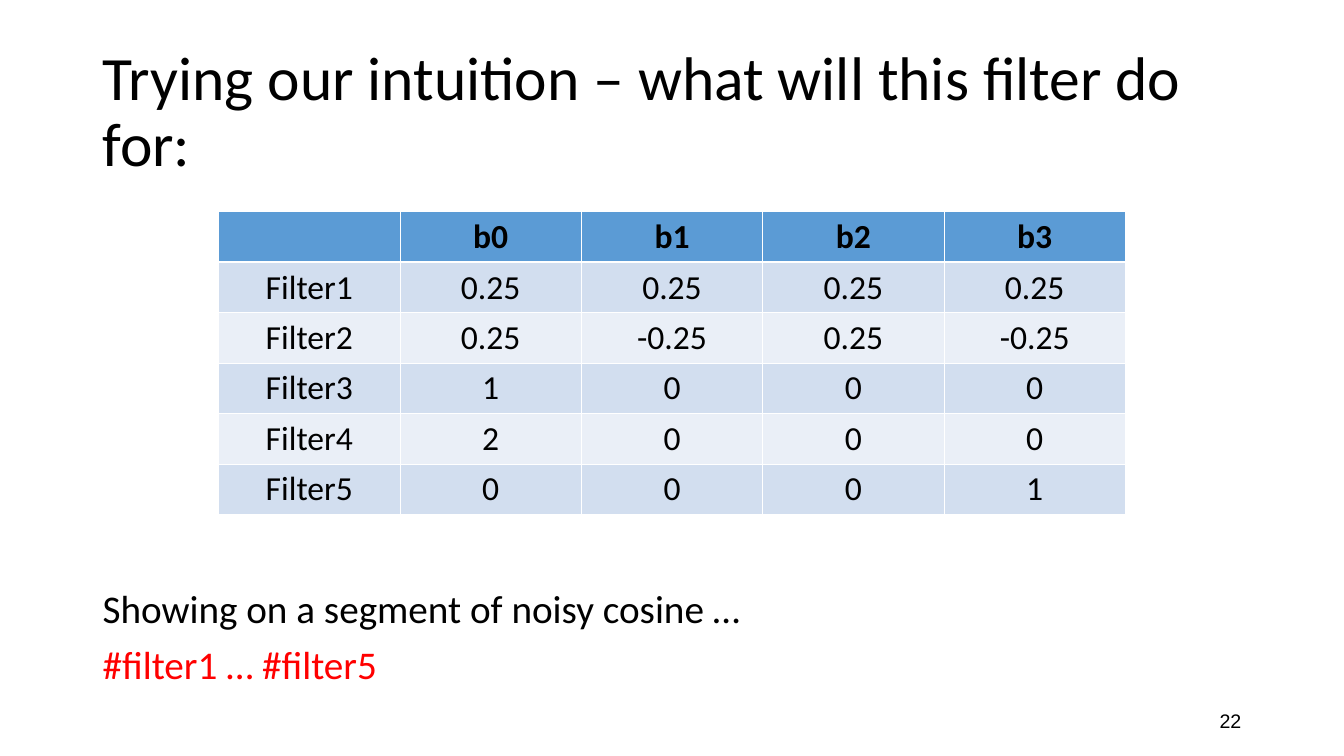
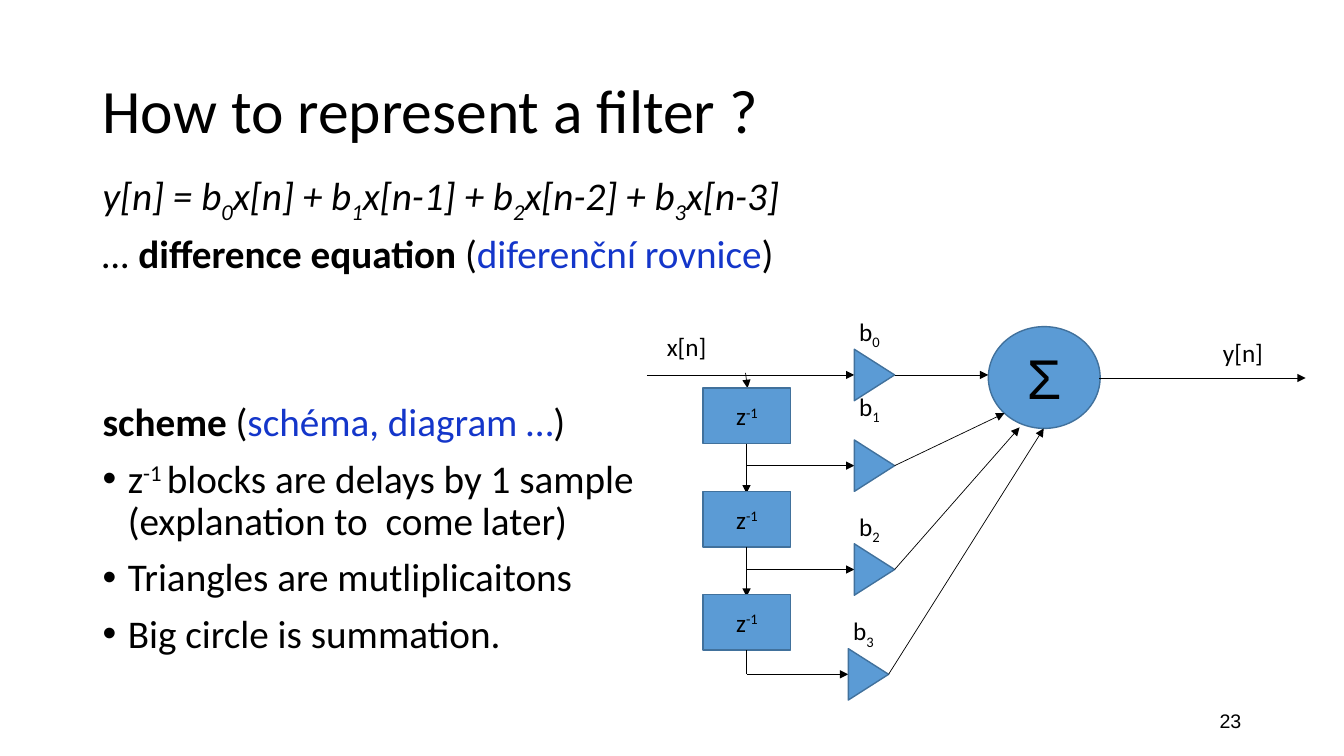
from lxml.etree import SubElement
from pptx import Presentation
from pptx.dml.color import RGBColor
from pptx.enum.shapes import MSO_CONNECTOR, MSO_SHAPE
from pptx.enum.text import MSO_ANCHOR, PP_ALIGN
from pptx.oxml.ns import qn
from pptx.util import Inches, Pt

COLORS = {
    "ink": "000000", "paper": "FFFFFF", "red": "FF0000", "czech": "1436CA",
    "block": "5B9BD5", "edge": "41719C", "band_dark": "D2DEEF", "band_light": "EAEFF7",
}
FONT, SYMBOL_FONT = "Calibri", "Arial"
SUB, SUPER = {"baseline": -25}, {"baseline": 30}
ITALIC, BOLD, CZECH = {"italic": True}, {"bold": True}, {"color": "czech"}
ITALIC_SUB = {**ITALIC, **SUB}
BODY = {"size": 28, "line_spacing": 0.9, "space_before": 10}

FILTER_TITLE = "Trying our intuition – what will this filter do for:"
FILTER_TABLE = [
    ["", "b0", "b1", "b2", "b3"],
    ["Filter1", "0.25", "0.25", "0.25", "0.25"],
    ["Filter2", "0.25", "-0.25", "0.25", "-0.25"],
    ["Filter3", "1", "0", "0", "0"],
    ["Filter4", "2", "0", "0", "0"],
    ["Filter5", "0", "0", "0", "1"],
]
DEMO_NOTE = [
    [("Showing on a segment of noisy cosine …", {})],
    [("#filter1 … #filter5", {"color": "red"})],
]

SCHEME_TITLE = "How to represent a filter ?"
EQUATION = [
    [("y[n] = b", ITALIC), ("0", ITALIC_SUB), ("x[n] + b", ITALIC), ("1", ITALIC_SUB),
     ("x[n-1] + b", ITALIC), ("2", ITALIC_SUB), ("x[n-2] + b", ITALIC),
     ("3", ITALIC_SUB), ("x[n-3]", ITALIC)],
    [("… ", ITALIC), ("difference equation ", BOLD), ("(", {}),
     ("diferenční rovnice", CZECH), (")", {})],
]
SCHEME_HEADING = [[("scheme ", BOLD), ("(", {}), ("schéma, diagram …", CZECH), (")", {})]]
SCHEME_BULLETS = [
    [("z", {}), ("-1 ", SUPER),
     ("blocks are delays by 1 sample\n(explanation to  come later)", {})],
    [("Triangles are mutliplicaitons", {})],
    [("Big circle is summation.", {})],
]

# Diagram geometry, in inches
DELAY_LEFT, DELAY_TOP, DELAY_PITCH = 6.98, 3.85, 1.025
DELAY_WIDTH, DELAY_HEIGHT = 0.87, 0.55
TAP_X = 7.41
GAIN_BASE, GAIN_DEPTH = 0.51, 0.4
SUM_BOX = (9.81, 3.24, 1.11, 1.01)
# (triangle centre, label position, arrow end on the circle)
GAINS = [
    ((8.68, 3.72), (8.43, 3.09), (9.81, 3.72)),
    ((8.68, 4.62), (8.43, 3.83), (9.97, 4.1)),
    ((8.68, 5.65), (8.43, 5.02), (10.12, 4.24)),
    ((8.62, 6.69), (8.37, 6.06), (10.36, 4.25)),
]
SIGNALS = [("x[n]", (6.52, 3.24)), ("y[n]", (12.04, 3.3))]


def rgb(name):
    return RGBColor.from_string(COLORS[name])


def add_span(para, text, size=18, font=FONT, color="ink", bold=False, italic=False, baseline=0):
    for index, piece in enumerate(text.split("\n")):
        if index:
            para.add_line_break()
        span = para.add_run()
        span.text = piece
        span.font.size, span.font.name = Pt(size), font
        span.font.bold, span.font.italic = bold, italic
        span.font.color.rgb = rgb(color)
        if baseline:
            span.font._element.set("baseline", str(baseline * 1000))


def add_bullet(para):
    properties = para._p.get_or_add_pPr()
    properties.set("marL", str(Inches(0.25)))
    properties.set("indent", str(-Inches(0.25)))
    SubElement(properties, qn("a:buFont")).set("typeface", "Arial")
    SubElement(properties, qn("a:buChar")).set("char", "•")


def write(frame, paragraphs, align=PP_ALIGN.LEFT, anchor=MSO_ANCHOR.TOP, line_spacing=None,
          space_before=0, first_space=None, bullets=False, **span_format):
    """Add paragraphs, given as a string or as lists of (text, format) spans."""
    if isinstance(paragraphs, str):
        paragraphs = [[(paragraphs, {})]]
    frame.word_wrap = True
    frame.vertical_anchor = anchor
    for index, spans in enumerate(paragraphs):
        fresh = not frame.paragraphs[0].runs
        para = frame.paragraphs[0] if fresh else frame.add_paragraph()
        para.alignment = align
        if line_spacing:
            para.line_spacing = line_spacing
        gap = space_before if index or first_space is None else first_space
        para.space_before = Pt(0 if fresh else gap)
        if bullets:
            add_bullet(para)
        for text, own_format in spans:
            add_span(para, text, **{**span_format, **own_format})


def add_text(page, box, paragraphs, **text_format):
    frame = page.shapes.add_textbox(*map(Inches, box)).text_frame
    write(frame, paragraphs, **text_format)
    return frame


def add_block(page, kind, box, paragraphs=None, **text_format):
    block = page.shapes.add_shape(kind, *map(Inches, box))
    block.shadow.inherit = False
    block.fill.solid()
    block.fill.fore_color.rgb = rgb("block")
    block.line.color.rgb = rgb("edge")
    block.line.width = Pt(1)
    if paragraphs:
        write(block.text_frame, paragraphs, align=PP_ALIGN.CENTER,
              anchor=MSO_ANCHOR.MIDDLE, **text_format)
    return block


def add_line(page, start, end, arrow=True):
    line = page.shapes.add_connector(MSO_CONNECTOR.STRAIGHT, *map(Inches, start + end))
    line.line.color.rgb = rgb("ink")
    line.line.width = Pt(0.5)
    if arrow:
        SubElement(line.line._get_or_add_ln(), qn("a:tailEnd")).set("type", "triangle")
    SubElement(line._element.spPr, qn("a:effectLst"))


def add_page(deck, title, number):
    page = deck.slides.add_slide(deck.slide_layouts[6])
    add_text(page, (0.92, 0.4, 11.5, 1.45), title, size=44, line_spacing=0.9,
             anchor=MSO_ANCHOR.MIDDLE)
    add_text(page, (9.42, 6.95, 3, 0.4), str(number), size=14, font=SYMBOL_FONT,
             align=PP_ALIGN.RIGHT, anchor=MSO_ANCHOR.MIDDLE)
    return page


def set_borders(cell, **widths):
    properties = cell._tc.get_or_add_tcPr()
    for side in "LRTB":
        border = SubElement(properties, qn(f"a:ln{side}"))
        border.set("w", str(Pt(widths.get(side, 0.45))))
        fill = SubElement(border, qn("a:solidFill"))
        SubElement(fill, qn("a:srgbClr")).set("val", COLORS["paper"])


def add_filter_table(page):
    rows, columns = len(FILTER_TABLE), len(FILTER_TABLE[0])
    table = page.shapes.add_table(rows, columns, Inches(2.17), Inches(2.1),
                                  Inches(1.8 * columns), Inches(0.5 * rows)).table
    for row, values in enumerate(FILTER_TABLE):
        band = "block" if row == 0 else "band_dark" if row % 2 else "band_light"
        heavy = {0: {"B": 1.47}, 1: {"T": 1.47}}.get(row, {})
        for column, value in enumerate(values):
            cell = table.cell(row, column)
            set_borders(cell, **heavy)
            cell.fill.solid()
            cell.fill.fore_color.rgb = rgb(band)
            if value:
                para = cell.text_frame.paragraphs[0]
                para.alignment = PP_ALIGN.CENTER
                add_span(para, value, size=24, bold=row == 0)


def add_delay_chain(page):
    add_line(page, (7.4, 3.7), (7.42, DELAY_TOP))
    for index in range(3):
        top = DELAY_TOP + index * DELAY_PITCH
        bottom = top + DELAY_HEIGHT
        add_block(page, MSO_SHAPE.RECTANGLE, (DELAY_LEFT, top, DELAY_WIDTH, DELAY_HEIGHT),
                  [[("z", {}), ("-1", SUPER)]])
        last = index == 2
        end = GAINS[-1][0][1] if last else top + DELAY_PITCH + 0.02
        add_line(page, (TAP_X, bottom), (TAP_X, end), arrow=not last)


def add_gains(page):
    for index, ((x, y), label, target) in enumerate(GAINS):
        start = 6.42 if index == 0 else TAP_X
        add_line(page, (start, y), (x - GAIN_DEPTH / 2, y))
        triangle = add_block(page, MSO_SHAPE.FLOWCHART_EXTRACT,
                             (x - GAIN_BASE / 2, y - GAIN_DEPTH / 2, GAIN_BASE, GAIN_DEPTH))
        triangle.rotation = 90
        add_text(page, label + (0.45, 0.44), [[("b", {}), (str(index), SUB)]])
        add_line(page, (x + GAIN_DEPTH / 2, y), target)


def build_filter_page(deck):
    page = add_page(deck, FILTER_TITLE, 22)
    add_filter_table(page)
    add_text(page, (0.92, 5.8, 7.88, 1.35), DEMO_NOTE, **BODY)


def build_scheme_page(deck):
    page = add_page(deck, SCHEME_TITLE, 23)
    frame = add_text(page, (0.92, 1.66, 11.5, 5.22), EQUATION, **BODY)
    write(frame, SCHEME_HEADING, first_space=90, **BODY)
    write(frame, SCHEME_BULLETS, bullets=True, **BODY)
    add_delay_chain(page)
    add_block(page, MSO_SHAPE.OVAL, SUM_BOX, "Σ", size=40, font=SYMBOL_FONT)
    add_gains(page)
    add_line(page, (10.91, 3.75), (12.96, 3.75))
    for name, place in SIGNALS:
        add_text(page, place + (0.92, 0.4), name)


def main():
    deck = Presentation()
    deck.slide_width, deck.slide_height = Inches(13.34), Inches(7.5)
    build_filter_page(deck)
    build_scheme_page(deck)
    deck.save("out.pptx")


if __name__ == "__main__":
    main()
